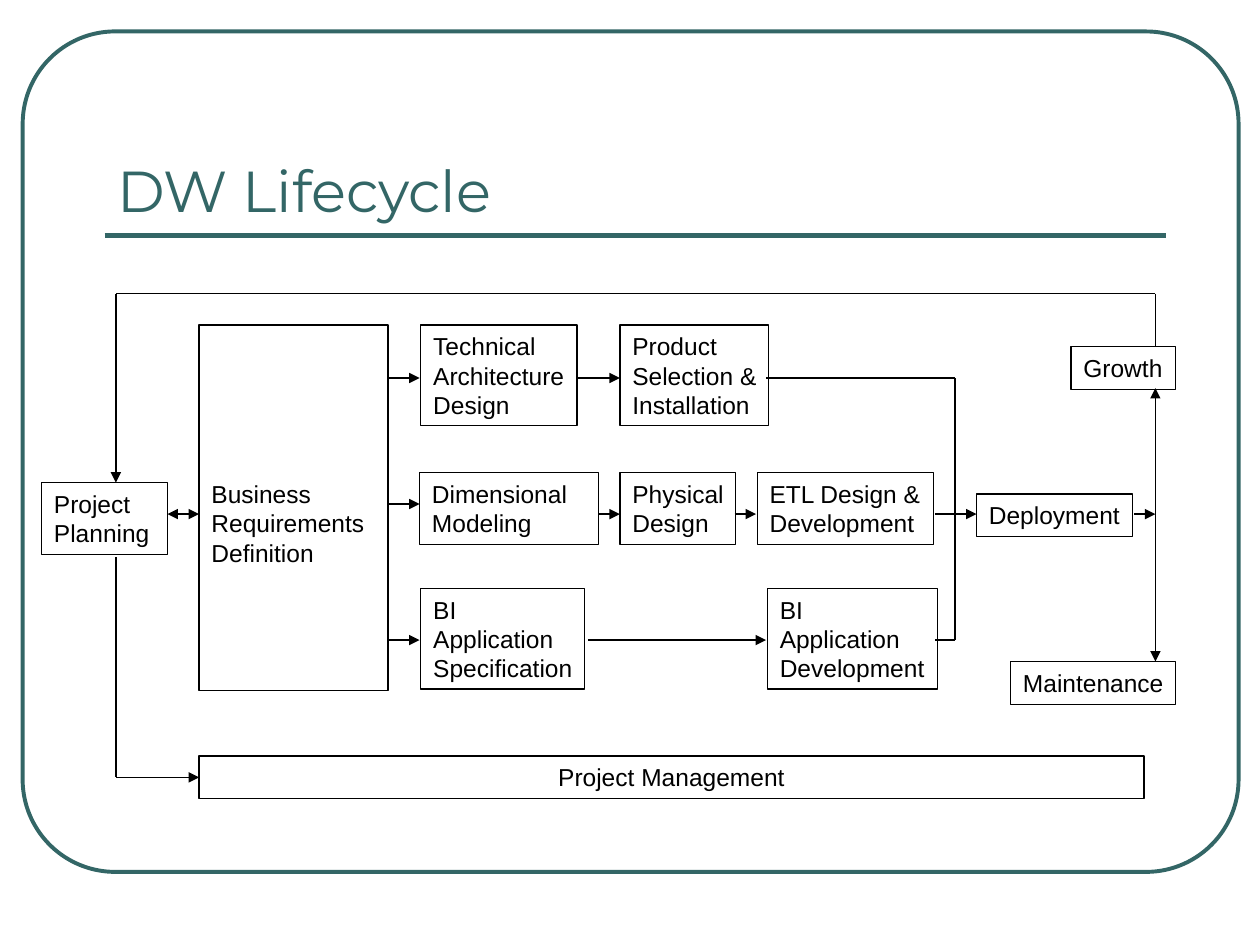
from itertools import pairwise

from lxml.etree import SubElement
from pptx import Presentation
from pptx.dml.color import RGBColor
from pptx.enum.shapes import MSO_CONNECTOR, MSO_SHAPE
from pptx.enum.text import MSO_ANCHOR, MSO_AUTO_SIZE, PP_ALIGN
from pptx.oxml.ns import qn
from pptx.util import Inches, Pt

TEAL = RGBColor(0x33, 0x66, 0x66)
BLACK = RGBColor(0, 0, 0)

PLANNING_X, GROWTH_X, MERGE_X = 0.92, 9.17, 7.58
TOP_Y, MIDDLE_Y, BOTTOM_Y = 3, 4.08, 5.08
LOOP_Y, MANAGEMENT_Y = 2.33, 6.17

# Lines of text, left, top, width, height; these fit their text tightly
TIGHT_STEPS = [
    ("Physical\nDesign", 4.92, 3.75, 0.92, 0.57),
    ("ETL Design &\nDevelopment", 6.01, 3.75, 1.4, 0.57),
    ("Deployment", 7.75, 3.92, 1.24, 0.34),
    ("Growth", 8.5, 2.75, 0.83, 0.34),
    ("Maintenance", 8.02, 5.25, 1.31, 0.34),
    ("BI\nApplication\nSpecification", 3.34, 4.67, 1.3, 0.8),
    ("BI\nApplication\nDevelopment", 6.09, 4.67, 1.35, 0.8),
    ("Technical\nArchitecture\nDesign", 3.34, 2.58, 1.24, 0.8),
    ("Product\nSelection &\nInstallation", 4.92, 2.58, 1.18, 0.8),
]

# Start x, end x, y
STEP_ARROWS = [
    (3.08, 3.33, 4),
    (3.08, 3.33, TOP_Y),
    (3.08, 3.33, BOTTOM_Y),
    (4.58, 4.92, TOP_Y),
    (4.75, 4.92, MIDDLE_Y),
    (4.67, 6.08, BOTTOM_Y),
    (5.83, 6, MIDDLE_Y),
    (7.42, 7.75, MIDDLE_Y),
    (9, GROWTH_X, MIDDLE_Y),
]


def write_text(frame, text, size=14, font="Arial", color=BLACK,
               align=PP_ALIGN.LEFT, anchor=MSO_ANCHOR.TOP, wrap=True, top_inset=0.05):
    frame.auto_size = MSO_AUTO_SIZE.NONE
    frame.word_wrap = wrap
    frame.vertical_anchor = anchor
    frame.margin_left = frame.margin_right = Inches(0.1)
    frame.margin_top, frame.margin_bottom = Inches(top_inset), Inches(0.05)
    frame.text = text
    for paragraph in frame.paragraphs:
        paragraph.alignment = align
        paragraph.font.size = Pt(size)
        paragraph.font.name = font
        paragraph.font.color.rgb = color


def add_outline(slide, preset, left, top, width, height, color=BLACK, weight=0.75):
    outline = slide.shapes.add_shape(
        preset, Inches(left), Inches(top), Inches(width), Inches(height))
    outline.shadow.inherit = False
    outline.fill.background()
    outline.line.color.rgb = color
    outline.line.width = Pt(weight)
    return outline


def add_step(slide, text, left, top, width, height, **text_format):
    step = add_outline(slide, MSO_SHAPE.RECTANGLE, left, top, width, height)
    write_text(step.text_frame, text, **text_format)


def add_line(slide, start, end, color=BLACK, weight=0.75, head=False, tail=False):
    """Draw a straight line; head puts an arrowhead at its start, tail at its end."""
    line = slide.shapes.add_connector(
        MSO_CONNECTOR.STRAIGHT, *(Inches(value) for value in (*start, *end)))
    line.line.color.rgb = color
    line.line.width = Pt(weight)
    stroke = line.line._get_or_add_ln()
    for tag, wanted in (("a:headEnd", head), ("a:tailEnd", tail)):
        if wanted:
            SubElement(stroke, qn(tag), type="triangle")
    SubElement(line._element.spPr, qn("a:effectLst"))


def add_route(slide, points, tail=False):
    """Join points with lines, with an optional arrowhead at the last point."""
    for start, end in pairwise(points):
        add_line(slide, start, end, tail=tail and end == points[-1])


def add_title(slide):
    add_outline(slide, MSO_SHAPE.ROUNDED_RECTANGLE, 0.18, 0.25, 9.65, 6.67,
                color=TEAL, weight=2.25).adjustments[0] = 0.11
    add_line(slide, (0.83, 1.87), (9.25, 1.87), color=TEAL, weight=3)
    title = slide.shapes.title
    title.left, title.top = Inches(0.83), Inches(0.58)
    title.width, title.height = Inches(8.42), Inches(1.25)
    write_text(title.text_frame, "DW Lifecycle", size=33, font="Montserrat",
               color=TEAL, anchor=MSO_ANCHOR.BOTTOM)


def add_steps(slide):
    add_step(slide, "Dimensional\nModeling", 3.33, 3.75, 1.42, 0.57)
    add_step(slide, "Project\nPlanning", 0.33, 3.83, 1, 0.57)
    add_step(slide, "Business\nRequirements\nDefinition", 1.58, 2.58, 1.5, 2.9,
             top_inset=1.22)
    for step in TIGHT_STEPS:
        add_step(slide, *step, wrap=False)
    add_step(slide, "Project Management", 1.58, 6, 7.5, 0.34, align=PP_ALIGN.CENTER)


def add_flows(slide):
    add_line(slide, (1.33, MIDDLE_Y), (1.58, MIDDLE_Y), head=True, tail=True)
    add_line(slide, (GROWTH_X, 3.08), (GROWTH_X, 5.25), head=True, tail=True)
    for start_x, end_x, y in STEP_ARROWS:
        add_line(slide, (start_x, y), (end_x, y), tail=True)
    add_route(slide, [(6.08, TOP_Y), (MERGE_X, TOP_Y),
                      (MERGE_X, BOTTOM_Y), (7.42, BOTTOM_Y)])
    add_route(slide, [(GROWTH_X, 2.75), (GROWTH_X, LOOP_Y),
                      (PLANNING_X, LOOP_Y), (PLANNING_X, 3.83)], tail=True)
    add_route(slide, [(PLANNING_X, 4.42), (PLANNING_X, MANAGEMENT_Y),
                      (1.58, MANAGEMENT_Y)], tail=True)


def main():
    deck = Presentation()
    deck.slide_width, deck.slide_height = Inches(10), Inches(7.5)
    slide = deck.slides.add_slide(deck.slide_layouts.get_by_name("Title Only"))
    add_title(slide)
    add_steps(slide)
    add_flows(slide)
    deck.save("out.pptx")


if __name__ == "__main__":
    main()
